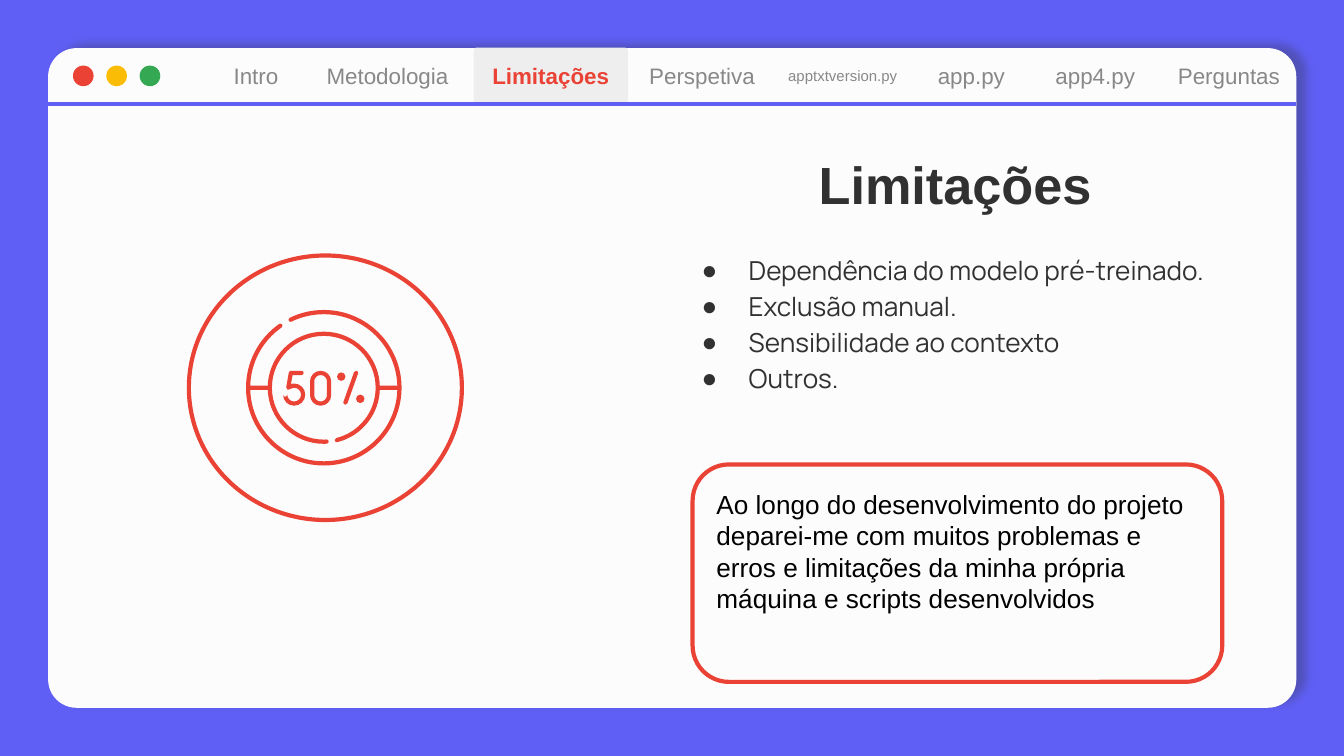
from math import atan2, ceil, cos, degrees, floor, hypot, radians, sin, tan

from lxml import etree
from pptx import Presentation
from pptx.dml.color import RGBColor
from pptx.enum.shapes import MSO_CONNECTOR, MSO_SHAPE
from pptx.enum.text import MSO_ANCHOR, MSO_AUTO_SIZE, PP_ALIGN
from pptx.oxml.ns import qn
from pptx.util import Cm, Pt

ROUNDED = MSO_SHAPE.ROUNDED_RECTANGLE
ONE_ROUNDED = MSO_SHAPE.ROUND_1_RECTANGLE
OVAL = MSO_SHAPE.OVAL
STRAIGHT = MSO_CONNECTOR.STRAIGHT
TOP, MIDDLE, BOTTOM = MSO_ANCHOR.TOP, MSO_ANCHOR.MIDDLE, MSO_ANCHOR.BOTTOM
LEFT, CENTER = PP_ALIGN.LEFT, PP_ALIGN.CENTER
NO_AUTOFIT = MSO_AUTO_SIZE.NONE

VIOLET, WHITE, DARK = "5F5FF5", "FCFCFC", "313131"
RED, YELLOW, GREEN = "EA4335", "FBBC05", "34A853"
GREY, PALE, BLACK = "888888", "EEEEEE", "000000"

TABS = [
    ("Perguntas", 21.87, 2.87),
    ("Intro", 3.53, 2.62),
    ("Metodologia", 5.94, 2.77),
    ("Limitações", 8.95, 2.92),
    ("Perspetiva", 11.96, 2.62),
    ("apptxtversion.py", 14.62, 2.62),
    ("app.py", 16.9, 2.92),
    ("app4.py", 19.39, 2.62),
]
LIMITS = [
    "Dependência do modelo pré-treinado.",
    "Exclusão manual.",
    "Sensibilidade ao contexto",
    "Outros.",
]
NOTE = (
    "Ao longo do desenvolvimento do projeto deparei-me com muitos problemas e "
    "erros e limitações da minha própria máquina e scripts desenvolvidos"
)


def color(value):
    return RGBColor.from_string(value)


def paint(shape, fill=None, line=None):
    shape.shadow.inherit = False
    if fill:
        shape.fill.solid()
        shape.fill.fore_color.rgb = color(fill)
    else:
        shape.fill.background()
    if line:
        shape.line.color.rgb = color(line)
        shape.line.width = Pt(2.25)
    else:
        shape.line.fill.background()


def add_box(slide, kind, left, top, width, height, fill=None, line=None, corner=None):
    box = slide.shapes.add_shape(kind, Cm(left), Cm(top), Cm(width), Cm(height))
    paint(box, fill, line)
    if corner is not None:
        box.adjustments[0] = corner
    return box


def set_frame(shape, anchor, inset=0.25):
    frame = shape.text_frame
    frame.word_wrap = True
    frame.auto_size = NO_AUTOFIT
    frame.vertical_anchor = anchor
    frame.margin_left = frame.margin_right = Cm(inset)
    frame.margin_top = frame.margin_bottom = Cm(inset)
    return frame


def style(paragraph, text, size, ink, align=LEFT, bold=False, font="Arial"):
    paragraph.text = text
    paragraph.alignment = align
    paragraph.font.name = font
    paragraph.font.size = Pt(size)
    paragraph.font.bold = bold
    paragraph.font.color.rgb = color(ink)


def place(shape, left, top, width, height):
    shape.left, shape.top = Cm(left), Cm(top)
    shape.width, shape.height = Cm(width), Cm(height)


def add_window(slide):
    window = add_box(slide, ROUNDED, 0.91, 0.91, 23.59, 12.47, WHITE, corner=0.043)
    effects = window.element.spPr.find(qn("a:effectLst"))
    shadow = etree.SubElement(effects, qn("a:outerShdw"), blurRad=str(Pt(4.5)),
                              dist=str(Pt(6)), dir=str(342 * 60000), algn="bl",
                              rotWithShape="0")
    tint = etree.SubElement(shadow, qn("a:srgbClr"), val=DARK)
    etree.SubElement(tint, qn("a:alpha"), val="30000")


def add_tab(slide, label, left, width):
    last, active = label == "Perguntas", label == "Limitações"
    tab = add_box(slide, ONE_ROUNDED if last else ROUNDED, left, 0.9, width, 1.07,
                  fill=PALE if active else None, corner=0.5 if last else 0.06)
    frame = set_frame(tab, MIDDLE, 0.25 if last else 0)
    style(frame.paragraphs[0], label, 8 if label == "apptxtversion.py" else 12,
          RED if active else GREY, CENTER, active)


def add_divider(slide):
    divider = slide.shapes.add_connector(STRAIGHT, Cm(0.91), Cm(1.97), Cm(24.49), Cm(1.97))
    divider.line.color.rgb = color(VIOLET)
    divider.line.width = Pt(2.25)
    etree.SubElement(divider.element.spPr, qn("a:effectLst"))


def arc(cx, cy, radius, start, end):
    low, high = min(start, end), max(start, end)
    quarters = [90 * q for q in range(floor(low / 90) + 1, ceil(high / 90))]
    stops = [low, *quarters, high]
    if end < start:
        stops.reverse()
    points = [(cx + radius * cos(radians(start)), cy + radius * sin(radians(start)))]
    for first, second in zip(stops, stops[1:]):
        a, b = radians(first), radians(second)
        pull = 4 / 3 * tan((b - a) / 4)
        points += [
            (cx + radius * (cos(a) - pull * sin(a)), cy + radius * (sin(a) + pull * cos(a))),
            (cx + radius * (cos(b) + pull * sin(b)), cy + radius * (sin(b) - pull * cos(b))),
            (cx + radius * cos(b), cy + radius * sin(b)),
        ]
    return points


def chain(*parts):
    points = list(parts[0])
    for part in parts[1:]:
        (x1, y1), (x2, y2) = points[-1], part[0]
        if hypot(x2 - x1, y2 - y1) > 0.001:
            points += [(x1 + (x2 - x1) * t / 3, y1 + (y2 - y1) * t / 3) for t in (1, 2, 3)]
        points += part[1:]
    return points


def band(cx, cy, radius, start, end, half=0.04):
    first = arc(cx, cy, radius, start, end)[0]
    last = arc(cx, cy, radius, start, end)[-1]
    return chain(arc(cx, cy, radius + half, start, end), arc(*last, half, end, end + 180),
                 arc(cx, cy, radius - half, end, start),
                 arc(*first, half, start + 180, start + 360))


def capsule(x1, y1, x2, y2, half):
    heading = degrees(atan2(y2 - y1, x2 - x1))
    return chain(arc(x2, y2, half, heading - 90, heading + 90),
                 arc(x1, y1, half, heading + 90, heading + 270))


def bar(left, top, width, height):
    right, bottom = left + width, top + height
    return chain([(left, top)], [(right, top)], [(right, bottom)], [(left, bottom)])


def add_outline(slide, *contours):
    builder = None
    for contour in contours:
        points = [(Cm(x), Cm(y)) for x, y in contour]
        if builder is None:
            builder = slide.shapes.build_freeform(*points[0])
        else:
            builder.move_to(*points[0])
        builder.add_line_segments(points[1:], close=True)
    outline = builder.convert_to_shape()
    lines = list(outline.element.iter(qn("a:lnTo")))
    for index in range(0, len(lines), 3):
        curve = etree.Element(qn("a:cubicBezTo"))
        lines[index].addprevious(curve)
        for line in lines[index:index + 3]:
            curve.append(line[0])
            line.getparent().remove(line)
    paint(outline, RED)


def add_percent_icon(slide):
    cx, cy = 6.12, 7.33
    add_outline(slide, band(cx, cy, 1.43, 244, 595), band(cx, cy, 1.02, 87, 436),
                bar(cx - 1.39, cy - 0.04, 0.33, 0.08), bar(cx + 1.06, cy - 0.04, 0.33, 0.08))
    add_outline(slide, capsule(6.73, 7.05, 6.53, 7.61, 0.04))
    add_outline(slide, chain(
        arc(5.7, 7.05, 0.04, -90, 90), [(5.53, 7.09)], [(5.5, 7.26)],
        arc(5.56, 7.46, 0.21, 256, 540), arc(5.39, 7.46, 0.04, 180, 0),
        arc(5.56, 7.46, 0.13, 540, 236), [(5.44, 7.37)], [(5.41, 7.32)],
        [(5.46, 7.04)], [(5.49, 7.01)]))
    add_outline(slide, *[
        chain(arc(6.06, 7.21, radius, 180, 360), arc(6.06, 7.47, radius, 0, 180))
        for radius in (0.2, 0.12)])
    for x, y in ((6.45, 7.12), (6.81, 7.54)):
        add_outline(slide, arc(x, y, 0.08, 0, 360))


def add_bullet(paragraph):
    properties = paragraph._p.get_or_add_pPr()
    properties.set("marL", str(Cm(0.89)))
    properties.set("indent", str(-Cm(0.89)))
    tint = etree.SubElement(properties, qn("a:buClr"))
    etree.SubElement(tint, qn("a:srgbClr"), val=DARK)
    etree.SubElement(properties, qn("a:buFont"), typeface="Arial")
    etree.SubElement(properties, qn("a:buChar"), char="●")


def fill_limits(body):
    place(body, 13.01, 4.47, 10.01, 5.03)
    frame = set_frame(body, TOP)
    for index, limit in enumerate(LIMITS):
        item = frame.add_paragraph() if index else frame.paragraphs[0]
        item.line_spacing = 1.15
        item.space_before = Pt(0 if index else 10)
        add_bullet(item)
        style(item, limit, 14, DARK, font="Manrope")


def fill_title(title):
    place(title, 12.69, 2.3, 10.72, 2.01)
    heading = set_frame(title, BOTTOM).paragraphs[0]
    heading.line_spacing = 0.8
    style(heading, "Limitações", 28, DARK, CENTER, True)


def main():
    deck = Presentation()
    deck.slide_width, deck.slide_height = Cm(25.4), Cm(14.29)
    slide = deck.slides.add_slide(deck.slide_layouts[1])
    slide.background.fill.solid()
    slide.background.fill.fore_color.rgb = color(VIOLET)

    add_window(slide)
    for tab in TABS:
        add_tab(slide, *tab)
    for index, button in enumerate((RED, YELLOW, GREEN)):
        add_box(slide, OVAL, 1.38 + 0.63 * index, 1.24, 0.39, 0.39, button)
    add_divider(slide)

    add_box(slide, OVAL, 3.57, 4.83, 5.16, 5, line=RED)
    add_percent_icon(slide)
    note = add_box(slide, ROUNDED, 13.09, 8.78, 10.01, 4.11, line=RED, corner=0.167)
    style(set_frame(note, TOP).paragraphs[0], NOTE, 14, BLACK)

    title, body = slide.placeholders
    for placeholder in (body, title):
        slide.shapes._spTree.append(placeholder.element)
    fill_limits(body)
    fill_title(title)
    deck.save("out.pptx")


if __name__ == "__main__":
    main()
